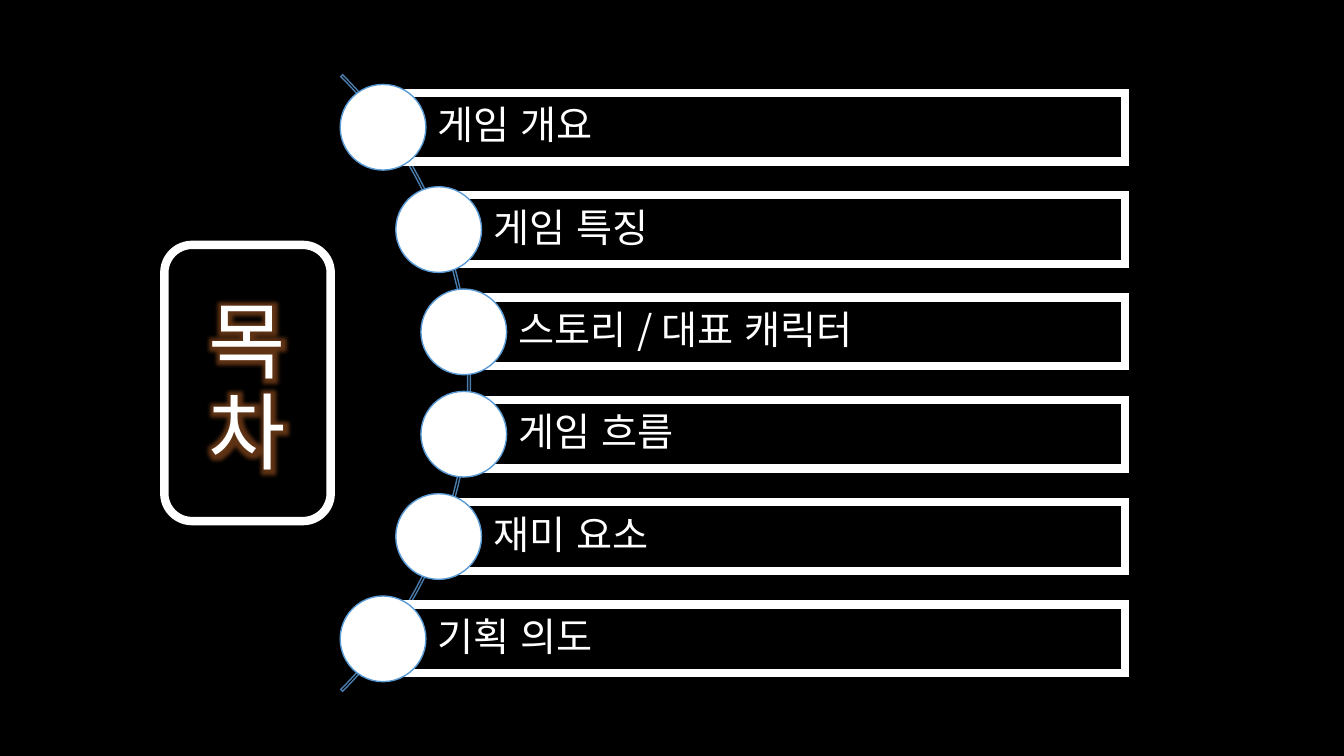
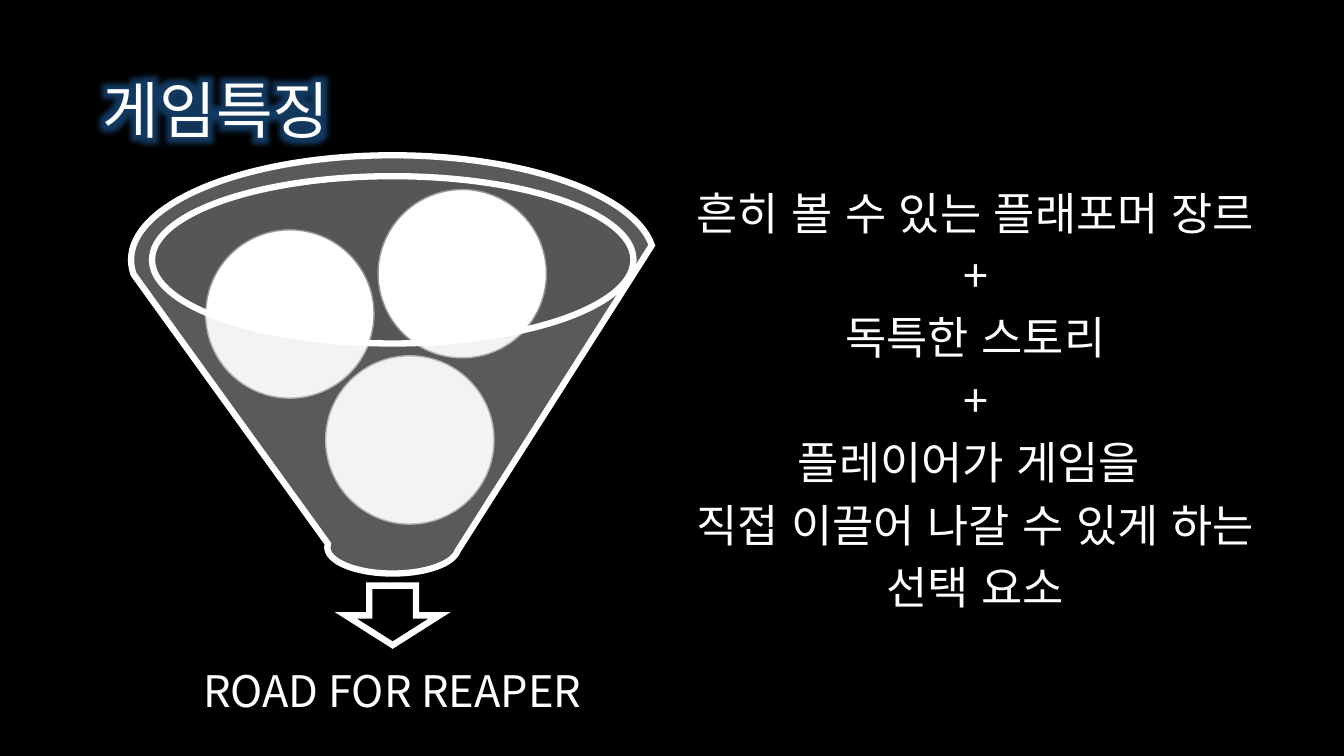
"""Build the contents slide and the game features slide."""
from math import sqrt

from lxml import etree
from pptx import Presentation
from pptx.dml.color import RGBColor
from pptx.enum.lang import MSO_LANGUAGE_ID as LANGUAGE
from pptx.enum.shapes import MSO_SHAPE as SHAPE
from pptx.enum.text import MSO_ANCHOR as ANCHOR, PP_ALIGN as ALIGN
from pptx.oxml.ns import qn
from pptx.util import Inches, Pt

BLACK = RGBColor(0x00, 0x00, 0x00)
WHITE = RGBColor(0xFF, 0xFF, 0xFF)
ARC_BLUE = RGBColor(0x49, 0x7C, 0xAB)
NODE_BLUE = RGBColor(0x5B, 0x9B, 0xD5)
BALL_GRAY = RGBColor(0x96, 0x96, 0x96)
MOUTH_GRAY = RGBColor(0xD8, 0xD8, 0xD8)
FUNNEL_GRAY = RGBColor(0xE1, 0xE1, 0xE1)
GLOW_ORANGE = RGBColor(0xED, 0x7D, 0x31)
GLOW_BLUE = RGBColor(0x2E, 0x8F, 0xEE)
FONT = "Noto Sans CJK KR"

CONTENTS_TITLE = "목차"
CONTENTS = ["게임 개요", "게임 특징", "스토리 / 대표 캐릭터",
            "게임 흐름", "재미 요소", "기획 의도"]
HUB_X, HUB_Y = 0.34, 3.8
ARC_SIZE, NODE_RADIUS = 8.65, 4.29
ROW_PITCH, BAR_HEIGHT, BAR_RIGHT, NODE_SIZE = 1.015, 0.68, 11.16, 0.85

FEATURES_TITLE = "게임특징"
FEATURES = ["흔히 볼 수 있는 플래포머 장르", "+", "독특한 스토리", "+",
            "플레이어가 게임을 ", "직접 이끌어 나갈 수 있게 하는", "선택 요소"]
RESULT = "ROAD FOR REAPER"
BALL_SIZE = 1.67
BALLS = [(3.23, 3.53), (2.04, 2.28), (3.75, 1.88)]


def new_slide(deck):
    slide = deck.slides.add_slide(deck.slide_layouts[6])
    slide.background.fill.solid()
    slide.background.fill.fore_color.rgb = BLACK
    return slide


def add_alpha(color_element, percent):
    etree.SubElement(color_element, qn("a:alpha"), val=str(percent * 1000))


def draw(slide, kind, place, fill=None, line=None, opacity=None):
    shape = slide.shapes.add_shape(kind, *map(Inches, place))
    shape.shadow.inherit = False
    if fill is None:
        shape.fill.background()
    else:
        shape.fill.solid()
        shape.fill.fore_color.rgb = fill
    if opacity:
        add_alpha(shape.fill._xPr.find(".//" + qn("a:srgbClr")), opacity)
    if line:
        color, width = line
        shape.line.color.rgb = color
        shape.line.width = Pt(width)
        outline = shape._element.spPr.find(qn("a:ln"))
        etree.SubElement(outline, qn("a:miter"), lim="800000")
    else:
        shape.line.fill.background()
    return shape


def add_glow(run, color, radius):
    effects = etree.Element(qn("a:effectLst"))
    glow = etree.SubElement(effects, qn("a:glow"), rad=str(Pt(radius)))
    tint = etree.SubElement(glow, qn("a:srgbClr"), val=str(color))
    add_alpha(tint, 40)
    run.font._element.find(qn("a:latin")).addprevious(effects)


def write(shape, lines, size, align=ALIGN.LEFT, anchor=ANCHOR.MIDDLE,
          before=0, insets=(0.1, 0.05, 0.1, 0.05), glow=None):
    frame = shape.text_frame
    sides = ("margin_left", "margin_top", "margin_right", "margin_bottom")
    layout = dict(zip(sides, map(Inches, insets)))
    for name, value in {**layout, "word_wrap": True, "vertical_anchor": anchor}.items():
        setattr(frame, name, value)
    font_format = {"name": FONT, "size": Pt(size), "language_id": LANGUAGE.KOREAN}
    for index, line in enumerate(lines):
        paragraph = frame.add_paragraph() if index else frame.paragraphs[0]
        paragraph.alignment = align
        paragraph.line_spacing = 0.9
        if index:
            paragraph.space_before = Pt(before)
        run = paragraph.add_run()
        run.text = line
        for name, value in font_format.items():
            setattr(run.font, name, value)
        run.font.color.rgb = WHITE
        latin = run.font._element.find(qn("a:latin"))
        latin.addnext(etree.Element(qn("a:ea"), typeface=FONT))
        if glow:
            add_glow(run, *glow)


def add_text(slide, place, lines, size, **style):
    write(slide.shapes.add_textbox(*map(Inches, place)), lines, size, **style)


def build_contents(deck):
    slide = new_slide(deck)
    arc = draw(slide, SHAPE.BLOCK_ARC,
               (HUB_X - ARC_SIZE / 2, HUB_Y - ARC_SIZE / 2, ARC_SIZE, ARC_SIZE),
               line=(ARC_BLUE, 1))
    for index, value in enumerate((189, 27, 0.003)):
        arc.adjustments[index] = value
    for row, topic in enumerate(CONTENTS):
        rise = (row - (len(CONTENTS) - 1) / 2) * ROW_PITCH
        x, y = HUB_X + sqrt(NODE_RADIUS ** 2 - rise ** 2), HUB_Y + rise
        bar = draw(slide, SHAPE.RECTANGLE,
                   (x, y - BAR_HEIGHT / 2, BAR_RIGHT - x, BAR_HEIGHT), BLACK, (WHITE, 6))
        write(bar, [topic], 28, insets=(0.54, 0.08, 0.08, 0.08))
        draw(slide, SHAPE.OVAL,
             (x - NODE_SIZE / 2, y - NODE_SIZE / 2, NODE_SIZE, NODE_SIZE),
             WHITE, (NODE_BLUE, 1))
    heading = draw(slide, SHAPE.ROUNDED_RECTANGLE, (1.63, 2.43, 1.65, 2.74),
                   BLACK, (WHITE, 6))
    write(heading, [CONTENTS_TITLE], 60, align=ALIGN.CENTER,
          insets=(0.1, 0.21, 0.1, 0.05), glow=(GLOW_ORANGE, 11))


def build_features(deck):
    slide = new_slide(deck)
    add_text(slide, (0.92, 0.4, 11.5, 1.45), [FEATURES_TITLE], 44, glow=(GLOW_BLUE, 18))
    draw(slide, SHAPE.OVAL, (1.5, 1.75, 4.78, 1.66), MOUTH_GRAY, opacity=40)
    draw(slide, SHAPE.DOWN_ARROW, (3.43, 5.81, 0.93, 0.59), BLACK, (WHITE, 4.5))
    add_text(slide, (1.67, 6.32, 4.44, 1.11), [RESULT], 31, align=ALIGN.CENTER,
             insets=(0.24,) * 4)
    for x, y in BALLS:
        draw(slide, SHAPE.OVAL, (x, y, BALL_SIZE, BALL_SIZE), WHITE, (BALL_GRAY, 1))
    draw(slide, SHAPE.FUNNEL, (1.3, 1.54, 5.19, 4.15), FUNNEL_GRAY, (WHITE, 4.5), 40)
    add_text(slide, (6.18, 1.85, 6.99, 4.37), FEATURES, 32, align=ALIGN.CENTER,
             anchor=ANCHOR.TOP, before=10)


def main():
    deck = Presentation()
    deck.slide_width, deck.slide_height = Inches(13.33), Inches(7.5)
    build_contents(deck)
    build_features(deck)
    deck.save("out.pptx")


if __name__ == "__main__":
    main()
